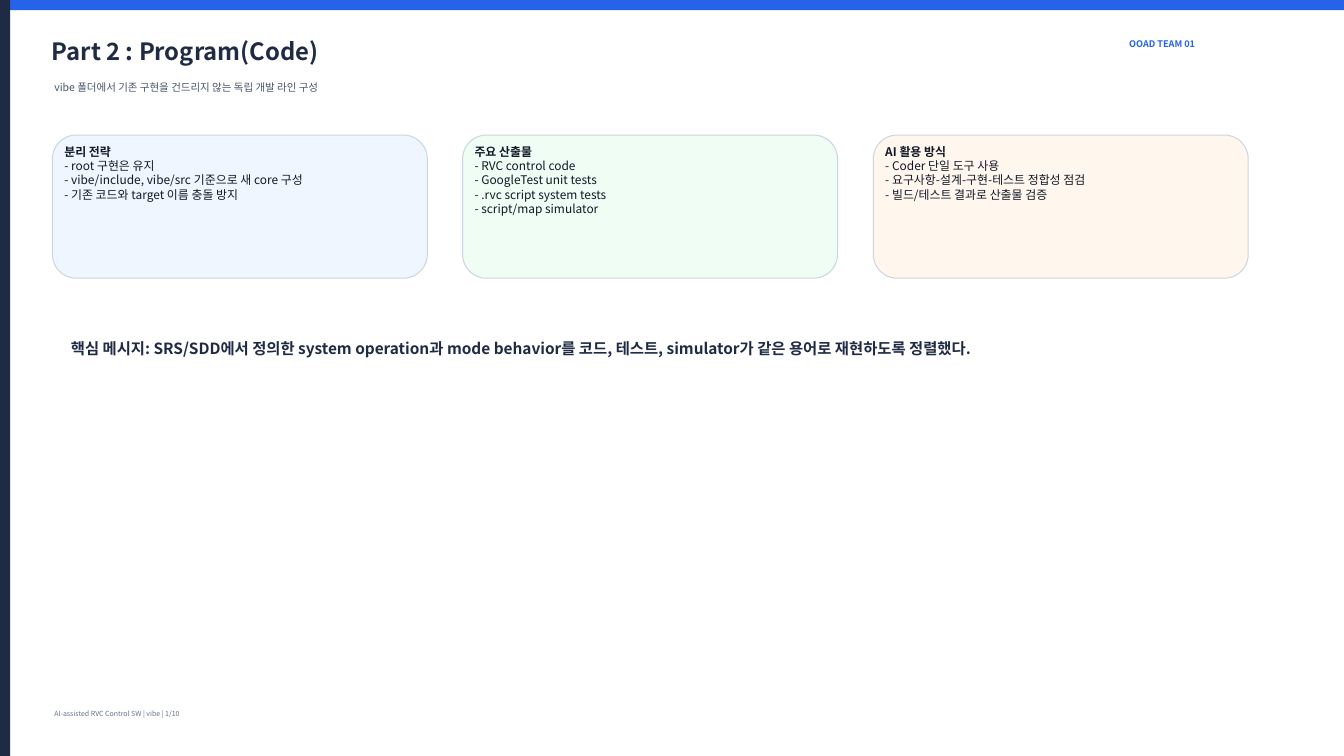
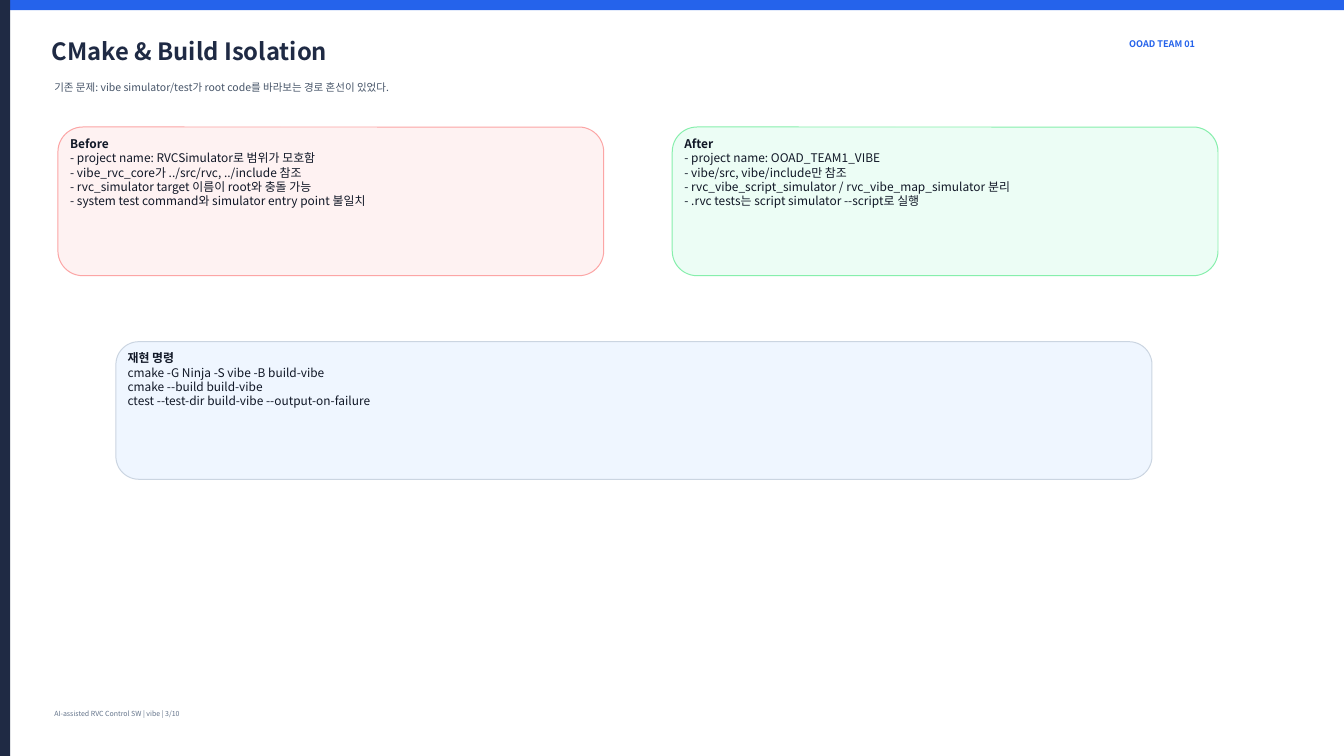
from dataclasses import dataclass

from pptx import Presentation
from pptx.dml.color import RGBColor
from pptx.enum.shapes import MSO_SHAPE
from pptx.enum.text import MSO_ANCHOR, MSO_AUTO_SIZE, PP_ALIGN
from pptx.oxml.ns import qn
from pptx.util import Emu, Pt

PX = 9144  # EMU per px, 100 px to the inch
SLIDE_W, SLIDE_H = 2667, 1500
BAND = 20
TITLE_ONLY = 5


@dataclass(frozen=True)
class Theme:
    font: str = "Noto Sans CJK KR"
    # colours
    navy: str = "1F2A44"
    blue: str = "2563EB"
    ink: str = "111827"
    slate: str = "475569"
    muted: str = "64748B"
    border: str = "CBD5E1"
    pale_blue: str = "EFF6FF"
    pale_green: str = "F0FDF4"
    pale_orange: str = "FFF7ED"
    pale_red: str = "FEF2F2"
    mint: str = "ECFDF5"
    red_border: str = "FCA5A5"
    green_border: str = "86EFAC"
    # type sizes and line width in points
    title: int = 34
    message: int = 22
    card: int = 17
    subtitle: int = 15
    tag: int = 13
    footer: int = 10
    outline: float = 1.42


T = Theme()


def px(*values):
    return [Emu(v * PX) for v in values]


def style(p, size, color, bold=False):
    p.alignment = PP_ALIGN.LEFT
    for r in p.runs:
        r.font.size = Pt(size)
        r.font.bold = bold
        r.font.color.rgb = RGBColor.from_string(color)
        r.font.name = T.font
        # East Asian typeface follows the Latin one
        ea = r._r.get_or_add_rPr().makeelement(qn("a:ea"), {"typeface": T.font})
        r.font._element.find(qn("a:latin")).addnext(ea)


def prepare_frame(tf):
    tf.word_wrap = True
    tf.auto_size = MSO_AUTO_SIZE.NONE
    tf.vertical_anchor = MSO_ANCHOR.TOP


def add_text(s, box, text, size, color, bold=False):
    tf = s.shapes.add_textbox(*px(*box)).text_frame
    prepare_frame(tf)
    tf.text = text
    style(tf.paragraphs[0], size, color, bold)


def add_filled(s, kind, box, fill, line=None):
    sp = s.shapes.add_shape(kind, *px(*box))
    sp.shadow.inherit = False
    sp.fill.solid()
    sp.fill.fore_color.rgb = RGBColor.from_string(fill)
    if line:
        sp.line.color.rgb = RGBColor.from_string(line)
        sp.line.width = Pt(T.outline)
    else:
        sp.line.fill.background()
    return sp


def add_card(s, box, lines, fill, line=T.border):
    """Rounded card: the first line is its bold heading."""
    tf = add_filled(s, MSO_SHAPE.ROUNDED_RECTANGLE, box, fill, line).text_frame
    prepare_frame(tf)
    tf.text = "\n".join(lines)
    for i, p in enumerate(tf.paragraphs):
        style(p, T.card, T.ink, bold=i == 0)


def add_card_row(s, left, top, width, height, pitch, cards):
    for i, card in enumerate(cards):
        add_card(s, (round(left + i * pitch), top, width, height), *card)


def set_title(s, text):
    sp = s.shapes.title
    sp.left, sp.top, sp.width, sp.height = px(93, 68, 1969, 93)
    prepare_frame(sp.text_frame)
    sp.text_frame.text = text
    style(sp.text_frame.paragraphs[0], T.title, T.navy, True)


def add_base_slide(prs, title, subtitle, number):
    """Slide with the shared bands, title, subtitle, team tag and footer."""
    s = prs.slides.add_slide(prs.slide_layouts[TITLE_ONLY])
    add_filled(s, MSO_SHAPE.RECTANGLE, (0, 0, SLIDE_W, BAND), T.blue)
    add_filled(s, MSO_SHAPE.RECTANGLE, (0, 0, BAND, SLIDE_H), T.navy)
    set_title(s, title)
    add_text(s, (98, 155, 2078, 57), subtitle, T.subtitle, T.slate)
    add_text(s, (2231, 72, 295, 46), "OOAD TEAM 01", T.tag, T.blue, True)
    add_text(s, (98, 1402, 1312, 33),
             f"AI-assisted RVC Control SW | vibe | {number}/10", T.footer, T.muted)
    return s


def build_program(prs):
    s = add_base_slide(prs, "Part 2 : Program(Code)",
                       "vibe 폴더에서 기존 구현을 건드리지 않는 독립 개발 라인 구성", 1)
    # Three cards
    strategy = ["분리 전략",
                "- root 구현은 유지",
                "- vibe/include, vibe/src 기준으로 새 core 구성",
                "- 기존 코드와 target 이름 충돌 방지"]
    outputs = ["주요 산출물",
               "- RVC control code",
               "- GoogleTest unit tests",
               "- .rvc script system tests",
               "- script/map simulator"]
    ai_use = ["AI 활용 방식",
              "- Coder 단일 도구 사용",
              "- 요구사항-설계-구현-테스트 정합성 점검",
              "- 빌드/테스트 결과로 산출물 검증"]
    add_card_row(s, 104, 268, 744, 284, 814.5, [
        (strategy, T.pale_blue),
        (outputs, T.pale_green),
        (ai_use, T.pale_orange)])
    # Key message
    add_text(s, (131, 667, 2297, 306),
             "핵심 메시지: SRS/SDD에서 정의한 system operation과 mode behavior를 "
             "코드, 테스트, simulator가 같은 용어로 재현하도록 정렬했다.",
             T.message, T.navy, True)


def build_isolation(prs):
    s = add_base_slide(prs, "CMake & Build Isolation",
                       "기존 문제: vibe simulator/test가 root code를 바라보는 경로 혼선이 있었다.", 3)
    # Before and after
    before = ["Before",
              "- project name: RVCSimulator로 범위가 모호함",
              "- vibe_rvc_core가 ../src/rvc, ../include 참조",
              "- rvc_simulator target 이름이 root와 충돌 가능",
              "- system test command와 simulator entry point 불일치"]
    after = ["After",
             "- project name: OOAD_TEAM1_VIBE",
             "- vibe/src, vibe/include만 참조",
             "- rvc_vibe_script_simulator / rvc_vibe_map_simulator 분리",
             "- .rvc tests는 script simulator --script로 실행"]
    add_card_row(s, 115, 252, 1083, 295, 1219, [
        (before, T.pale_red, T.red_border),
        (after, T.mint, T.green_border)])
    # Commands
    commands = ["재현 명령",
                "cmake -G Ninja -S vibe -B build-vibe",
                "cmake --build build-vibe",
                "ctest --test-dir build-vibe --output-on-failure"]
    add_card(s, (230, 678, 2056, 273), commands, T.pale_blue)


def main():
    prs = Presentation()
    prs.slide_width, prs.slide_height = px(SLIDE_W, SLIDE_H)
    build_program(prs)
    build_isolation(prs)
    prs.save("out.pptx")


if __name__ == "__main__":
    main()
